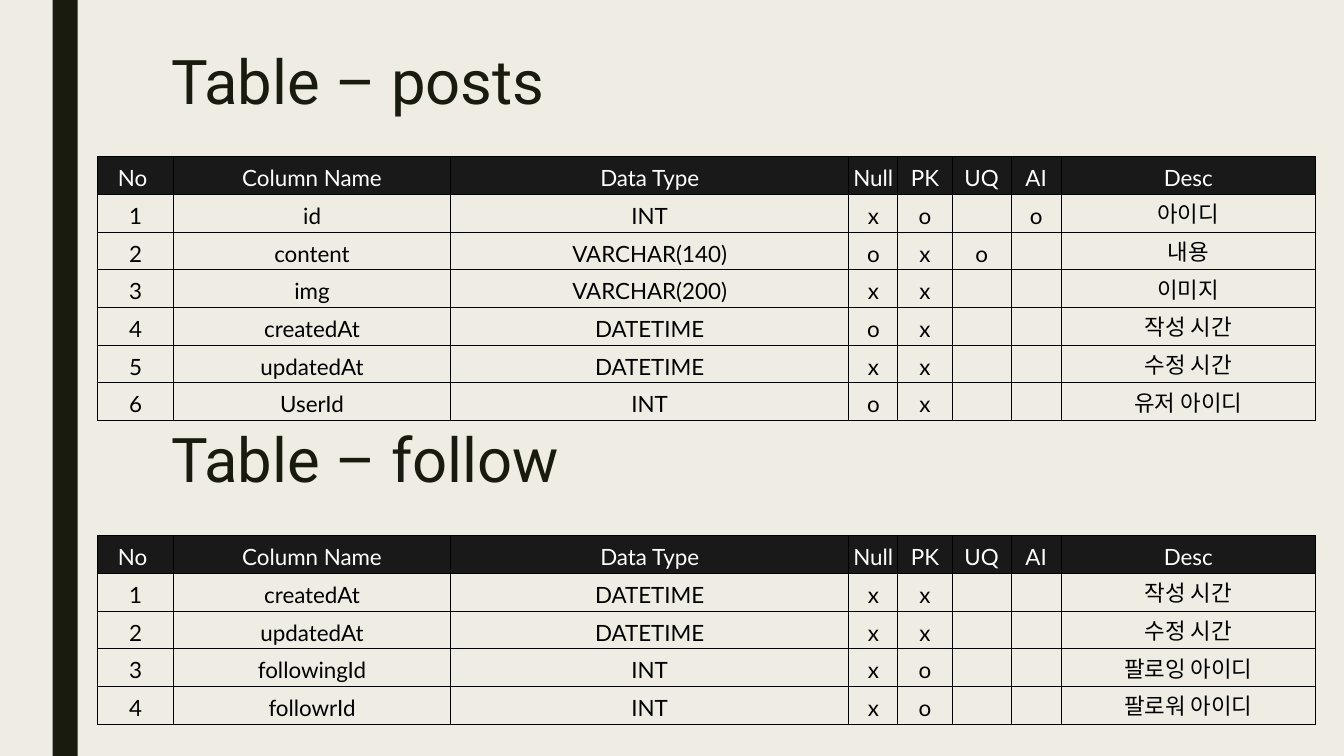
from typing import Any, NamedTuple

from lxml import etree
from pptx import Presentation
from pptx import util as u
from pptx.dml.color import RGBColor
from pptx.enum import shapes, text
from pptx.oxml import ns

INK = RGBColor(0x19, 0x1B, 0x0E)
PAPER = RGBColor(0xEF, 0xED, 0xE3)
HEADER_FILL = RGBColor(0x19, 0x19, 0x19)
HEADER_TEXT = RGBColor(0xFD, 0xFD, 0xFD)
BLACK = RGBColor(0, 0, 0)

TABLE_LEFT = 69.7
ROW_HEIGHT = 23.8
COLUMN_WIDTHS = (54.2, 198, 284.4, 35.1, 38.7, 42.2, 35.8, 181.6)
HEADINGS = ("No ", "Column Name", "Data Type", "Null", "PK", "UQ", "AI", "Desc")

CELL_FORMAT = {
    "margin_left": u.Pt(2.25),
    "margin_right": u.Pt(2.25),
    "margin_top": u.Pt(2.25),
    "margin_bottom": u.Pt(2.25),
    "vertical_anchor": text.MSO_ANCHOR.MIDDLE,
}
CELL_PARAGRAPH_FORMAT = {
    "alignment": text.PP_ALIGN.CENTER,
    "line_spacing": u.Pt(22.4),
}
TITLE_FRAME_FORMAT = {"word_wrap": True, "vertical_anchor": text.MSO_ANCHOR.TOP}


class Field(NamedTuple):
    name: str
    data_type: str
    null: str
    primary: str
    unique: str
    auto: str
    description: str


class Section(NamedTuple):
    title: str
    title_top: float
    table_top: float
    fields: tuple[Field, ...]


CREATED = Field("createdAt", "DATETIME", "x", "x", "", "", "작성 시간")
UPDATED = Field("updatedAt", "DATETIME", "x", "x", "", "", "수정 시간")

SECTIONS = (
    Section("Table – posts", 33.8, 112.1, (
        Field("id", "INT", "x", "o", "", "o", "아이디"),
        Field("content", "VARCHAR(140)", "o", "x", "o", "", "내용"),
        Field("img", "VARCHAR(200)", "x", "x", "", "", "이미지"),
        CREATED._replace(null="o"),
        UPDATED,
        Field("UserId", "INT", "o", "x", "", "", "유저 아이디"),
    )),
    Section("Table – follow", 303.8, 382.8, (
        CREATED,
        UPDATED,
        Field("followingId", "INT", "x", "o", "", "", "팔로잉 아이디"),
        Field("followrId", "INT", "x", "o", "", "", "팔로워 아이디"),
    )),
)


def apply_format(target: Any, values: dict[str, Any]) -> None:
    for name, value in values.items():
        setattr(target, name, value)


def add_run(paragraph: Any, content: str, font: str, size: float, color: RGBColor) -> None:
    run = paragraph.add_run()
    run.text = content
    apply_format(run.font, {"name": font, "size": u.Pt(size), "bold": False})
    run.font.color.rgb = color


def add_borders(cell: Any) -> None:
    properties = cell._tc.get_or_add_tcPr()
    for side in ("a:lnL", "a:lnR", "a:lnT", "a:lnB"):
        line = etree.SubElement(properties, ns.qn(side), w=str(u.Pt(0.75)))
        fill = etree.SubElement(line, ns.qn("a:solidFill"))
        etree.SubElement(fill, ns.qn("a:srgbClr"), val=str(BLACK))


def fill_cell(cell: Any, content: str, is_header: bool, font: str) -> None:
    apply_format(cell, CELL_FORMAT)
    add_borders(cell)
    if is_header:
        cell.fill.solid()
        cell.fill.fore_color.rgb = HEADER_FILL
    else:
        cell.fill.background()
    paragraph = cell.text_frame.paragraphs[0]
    apply_format(paragraph, CELL_PARAGRAPH_FORMAT)
    if content:
        add_run(paragraph, content, font, 16, HEADER_TEXT if is_header else BLACK)


def add_title(slide: Any, section: Section) -> None:
    shape = slide.shapes.add_textbox(
        u.Pt(115.2), u.Pt(section.title_top), u.Pt(756), u.Pt(116.6))
    apply_format(shape.text_frame, TITLE_FRAME_FORMAT)
    paragraph = shape.text_frame.paragraphs[0]
    paragraph.line_spacing = 0.89
    add_run(paragraph, section.title, "Roboto", 44, INK)


def add_field_table(slide: Any, section: Section) -> None:
    rows = [HEADINGS] + [
        (str(number), *field) for number, field in enumerate(section.fields, 1)]
    shape = slide.shapes.add_table(
        len(rows), len(HEADINGS), u.Pt(TABLE_LEFT), u.Pt(section.table_top),
        u.Pt(sum(COLUMN_WIDTHS)), u.Pt(ROW_HEIGHT * len(rows)))
    table = shape.table
    apply_format(table, {"first_row": False, "horz_banding": False})
    for column, width in zip(table.columns, COLUMN_WIDTHS):
        column.width = u.Pt(width)
    for row_index, values in enumerate(rows):
        table.rows[row_index].height = u.Pt(ROW_HEIGHT)
        is_header = row_index == 0
        for column_index, content in enumerate(values):
            is_description = column_index == len(HEADINGS) - 1
            font = "Roboto" if is_description and not is_header else "Lato"
            fill_cell(table.cell(row_index, column_index), content, is_header, font)


def add_side_bar(slide: Any) -> None:
    shape = slide.shapes.add_shape(
        shapes.MSO_SHAPE.RECTANGLE, u.Pt(37.5), u.Pt(0), u.Pt(18), u.Pt(540))
    shape.shadow.inherit = False
    shape.fill.solid()
    shape.fill.fore_color.rgb = INK
    shape.line.fill.background()


def main() -> None:
    presentation = Presentation()
    apply_format(presentation, {"slide_width": u.Pt(960), "slide_height": u.Pt(540)})
    slide = presentation.slides.add_slide(presentation.slide_layouts[6])
    slide.background.fill.solid()
    slide.background.fill.fore_color.rgb = PAPER
    add_side_bar(slide)
    for section in SECTIONS:
        add_title(slide, section)
        add_field_table(slide, section)
    presentation.save("out.pptx")


if __name__ == "__main__":
    main()
